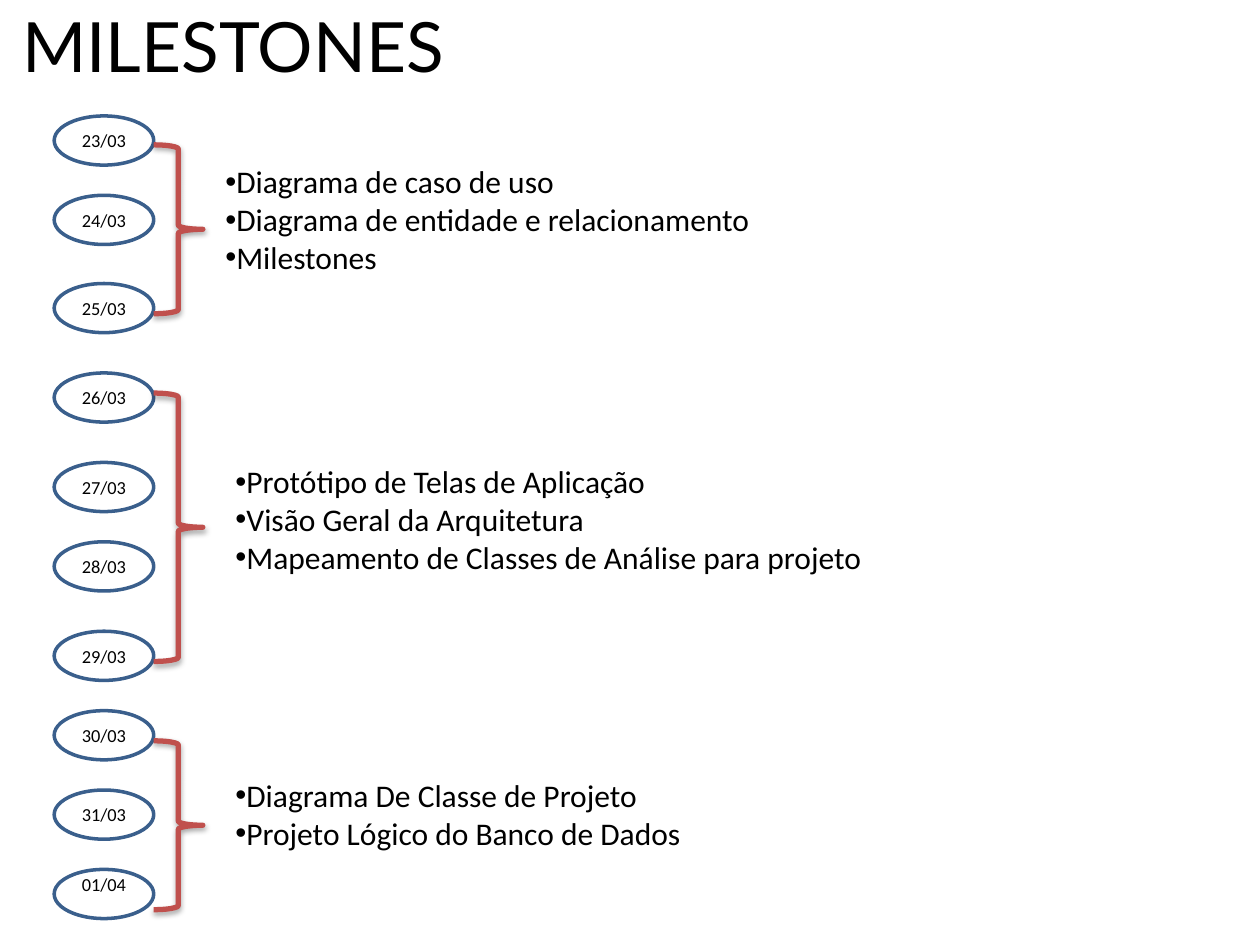
from lxml import etree
from pptx import Presentation
from pptx.dml.color import RGBColor
from pptx.enum import shapes, text
from pptx.oxml import parse_xml
from pptx.oxml.ns import nsdecls, qn
from pptx.util import Inches, Pt

BLACK = RGBColor(0x00, 0x00, 0x00)
WHITE = RGBColor(0xFF, 0xFF, 0xFF)
BLUE = RGBColor(0x3A, 0x5F, 0x8C)
RED = RGBColor(0xC0, 0x50, 0x4D)

TITLE = "MILESTONES"
DATES = [
    ("23/03", 0.92), ("24/03", 1.55), ("25/03", 2.25), ("26/03", 2.96),
    ("27/03", 3.67), ("28/03", 4.3), ("29/03", 5.01), ("30/03", 5.64),
    ("31/03", 6.27), ("01/04", 6.9),
]
# Brace (top, height), text box (left, top, width, height), deliverables
PHASES = [
    ((1.15, 1.34), (1.69, 1.24, 6.3, 1.01),
     ["Diagrama de caso de uso", "Diagrama de entidade e relacionamento",
      "Milestones"]),
    ((3.12, 2.13), (1.77, 3.62, 5.51, 1.31),
     ["Protótipo de Telas de Aplicação", "Visão Geral da Arquitetura",
      "Mapeamento de Classes de Análise para projeto"]),
    ((5.88, 1.34), (1.77, 6.11, 5.51, 0.71),
     ["Diagrama De Classe de Projeto", "Projeto Lógico do Banco de Dados"]),
]
DATE_LEFT, DATE_W, DATE_H = 0.43, 0.79, 0.39
BRACE_W = 0.39
SHADOW = (
    f'<a:effectLst {nsdecls("a")}>'
    '<a:outerShdw blurRad="40000" dist="23000" dir="5400000" rotWithShape="0">'
    '<a:srgbClr val="000000"><a:alpha val="35000"/></a:srgbClr>'
    '</a:outerShdw></a:effectLst>'
)


def add_run(p, words, size, font="Calibri"):
    r = p.add_run()
    r.text = words
    r.font.size = Pt(size)
    r.font.name = font
    r.font.color.rgb = BLACK


def add_preset(kind, box, line, weight):
    sp = s.shapes.add_shape(kind, *map(Inches, box))
    sp.shadow.inherit = False
    sp.line.color.rgb = line
    sp.line.width = Pt(weight)
    return sp


prs = Presentation()
prs.slide_width, prs.slide_height = Inches(10), Inches(7.5)
s = prs.slides.add_slide(prs.slide_layouts[5])

# Title
title = s.shapes.title
title.left, title.top = Inches(0), Inches(0)
title.width, title.height = Inches(3.7), Inches(0.71)
tf = title.text_frame
tf.auto_size = text.MSO_AUTO_SIZE.NONE
tf.vertical_anchor = text.MSO_ANCHOR.MIDDLE
tf.paragraphs[0].alignment = text.PP_ALIGN.CENTER
add_run(tf.paragraphs[0], TITLE, 39.6, "Lato")

# Dates
for date, top in DATES:
    sp = add_preset(shapes.MSO_SHAPE.OVAL, (DATE_LEFT, top, DATE_W, DATE_H), BLUE, 2)
    sp.fill.solid()
    sp.fill.fore_color.rgb = WHITE
    tf = sp.text_frame
    tf.vertical_anchor = text.MSO_ANCHOR.MIDDLE
    tf.paragraphs[0].alignment = text.PP_ALIGN.CENTER
    add_run(tf.paragraphs[0], date, 10.5)
# The last date sits higher in its oval
tf.margin_bottom = Inches(0.21)

# Phases: brace and bulleted deliverables
for (top, height), box, items in PHASES:
    brace = add_preset(shapes.MSO_SHAPE.RIGHT_BRACE,
                       (DATE_LEFT + DATE_W, top, BRACE_W, height), RED, 3)
    brace.fill.background()
    effects = brace._element.spPr.find(qn("a:effectLst"))
    effects.getparent().replace(effects, parse_xml(SHADOW))

    tf = s.shapes.add_textbox(*map(Inches, box)).text_frame
    tf.word_wrap = True
    for i, item in enumerate(items):
        p = tf.add_paragraph() if i else tf.paragraphs[0]
        pPr = p._p.get_or_add_pPr()
        etree.SubElement(pPr, qn("a:buFont")).set("typeface", "Arial")
        etree.SubElement(pPr, qn("a:buChar")).set("char", "•")
        add_run(p, item, 18)

prs.save("out.pptx")
